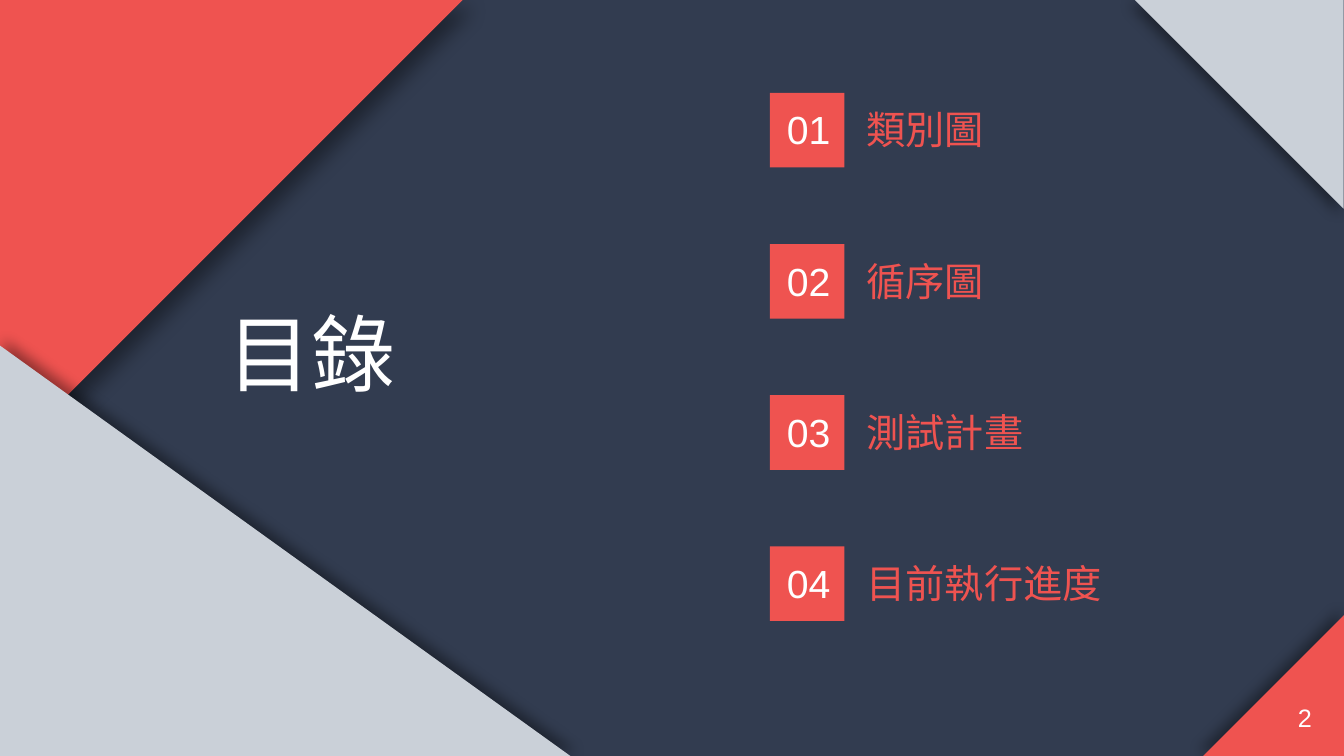
from dataclasses import dataclass

from lxml.etree import SubElement
from pptx import Presentation
from pptx.dml.color import RGBColor
from pptx.enum.shapes import MSO_SHAPE
from pptx.enum.text import MSO_AUTO_SIZE, PP_ALIGN
from pptx.oxml.ns import qn
from pptx.util import Cm, Pt


@dataclass(frozen=True)
class Theme:
    navy: RGBColor = RGBColor(0x32, 0x3C, 0x50)
    coral: RGBColor = RGBColor(0xEF, 0x53, 0x50)
    silver: RGBColor = RGBColor(0xCA, 0xD0, 0xD8)
    white: RGBColor = RGBColor(0xFF, 0xFF, 0xFF)
    font: str = "Arial"
    title_size: int = 60
    entry_size: int = 28
    page_size: int = 18


theme = Theme()

presentation = Presentation()
presentation.slide_width = Cm(33.87)
presentation.slide_height = Cm(19.05)
slide = presentation.slides.add_slide(presentation.slide_layouts[6])
slide.background.fill.solid()
slide.background.fill.fore_color.rgb = theme.navy


def add_corner(left, top, width, height, color, rotation, flip, blur, distance, angle):
    """Add a right triangle that casts a soft shadow onto the slide."""
    corner = slide.shapes.add_shape(
        MSO_SHAPE.RIGHT_TRIANGLE, Cm(left), Cm(top), Cm(width), Cm(height))
    corner.rotation = rotation
    corner.fill.solid()
    corner.fill.fore_color.rgb = color
    corner.line.fill.background()
    corner.shadow.inherit = False
    properties = corner.element.spPr
    if flip:
        properties.find(qn("a:xfrm")).set(flip, "1")
    shadow = SubElement(
        properties.find(qn("a:effectLst")), qn("a:outerShdw"),
        blurRad=str(Pt(blur)), dist=str(Pt(distance)),
        dir=str(angle * 60000), algn="ctr", rotWithShape="0")
    black = SubElement(shadow, qn("a:srgbClr"), val="000000")
    SubElement(black, qn("a:alpha"), val="40000")


def add_text(text, left, top, width, height, size, color, wrap=False, align=PP_ALIGN.LEFT):
    frame = slide.shapes.add_textbox(Cm(left), Cm(top), Cm(width), Cm(height)).text_frame
    frame.word_wrap = wrap
    frame.auto_size = MSO_AUTO_SIZE.SHAPE_TO_FIT_TEXT
    frame.text = text
    paragraph = frame.paragraphs[0]
    paragraph.alignment = align
    font = paragraph.runs[0].font
    font.name = theme.font
    font.size = Pt(size)
    font.color.rgb = color


# Corners: top right, top left, bottom right
add_corner(28.6, 0, 5.26, 5.26, theme.silver, 90, "flipV", 10, 5, 135)
add_corner(0, 0, 11.66, 11.66, theme.coral, 0, "flipV", 15, 10, 45)
add_corner(30.32, 15.5, 3.55, 3.55, theme.coral, 270, None, 10, 5, 225)

# Title
add_text("目錄", 5.46, 7.47, 4.78, 2.82, theme.title_size, theme.white,
         align=PP_ALIGN.CENTER)

# Contents: a numbered square and a label per chapter
chapters = ["類別圖", "循序圖", "測試計畫", "目前執行進度"]
first_top, pitch, square_side, square_left = 2.34, 3.81, 1.88, 19.4
for index, chapter in enumerate(chapters):
    top = first_top + index * pitch
    square = slide.shapes.add_shape(
        MSO_SHAPE.RECTANGLE, Cm(square_left), Cm(top), Cm(square_side), Cm(square_side))
    square.fill.solid()
    square.fill.fore_color.rgb = theme.coral
    square.line.fill.background()
    square.shadow.inherit = False
    add_text(f"{index + 1:02}", square_left + 0.18, top + 0.2, 1.63, 1.45,
             theme.entry_size, theme.white)
    add_text(chapter, 21.59, top + 0.2, 7.49, 1.45,
             theme.entry_size, theme.coral, wrap=True)

# Bottom left corner, lying over the top left one
add_corner(2.01, 6.68, 10.36, 14.4, theme.silver, 90, "flipH", 10, 5, 315)

# Page number
add_text("2", 32.46, 17.58, 0.86, 1.02, theme.page_size, theme.white)

presentation.save("out.pptx")
